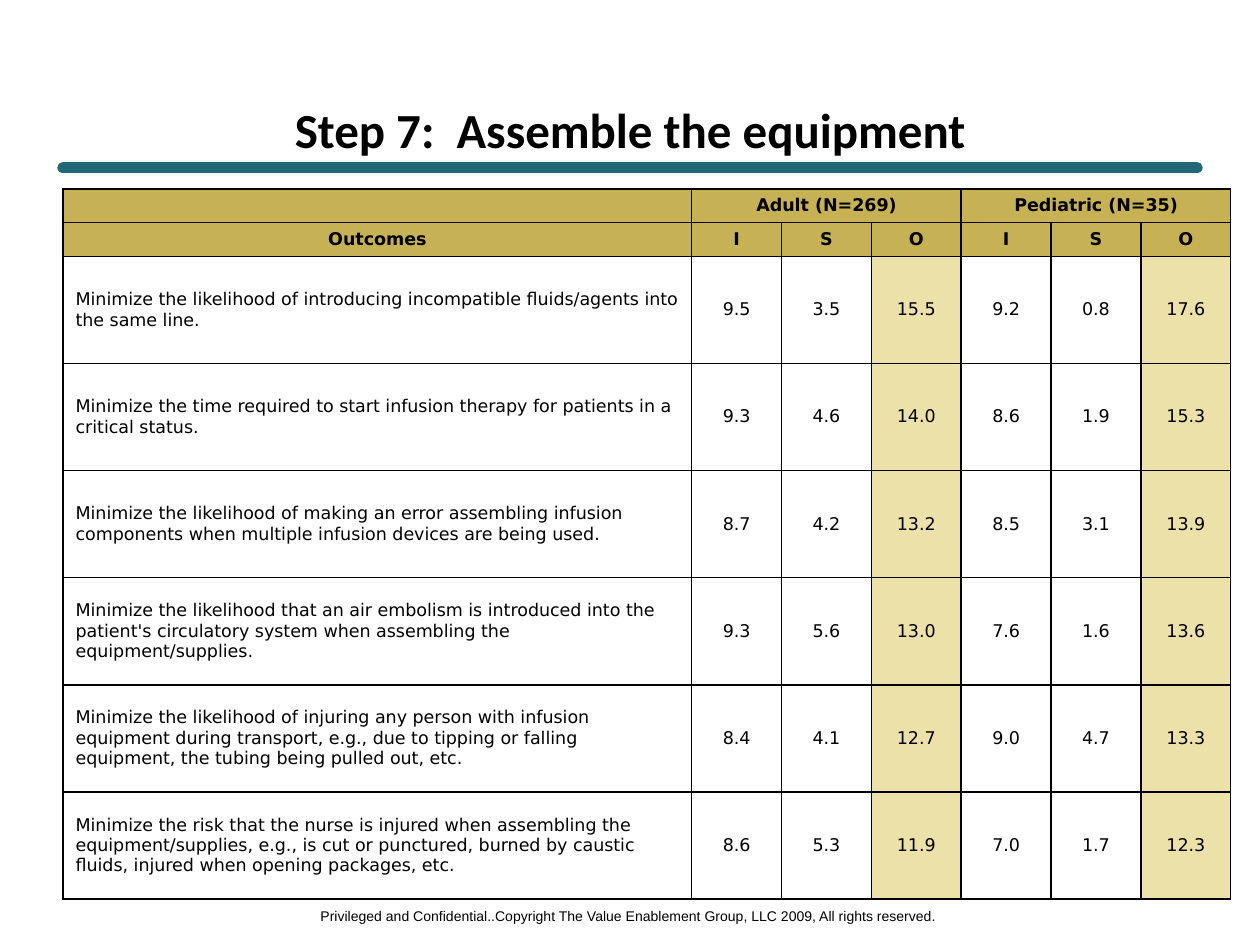
"""Build the outcomes table slide for the equipment step."""
from dataclasses import dataclass

from lxml import etree
from pptx import Presentation
from pptx import util as u
from pptx.dml.color import RGBColor as Rgb
from pptx.enum import shapes, text
from pptx.oxml import ns


@dataclass(frozen=True)
class Theme:
    ink: str = "000000"
    bar: str = "216778"
    head: str = "C6B154"
    tint: str = "ECE2A9"
    title: int = 28
    body: int = 10
    foot: int = 8
    rule: float = 6.5
    edge: int = 1


@dataclass(frozen=True)
class Score:
    label: str
    adult: tuple[float, float, float]
    child: tuple[float, float, float]


THEME = Theme()
MID = text.PP_ALIGN.CENTER
TITLE = {"name": "Calibri", "size": u.Pt(THEME.title), "bold": True}
HEAD = {"name": "DejaVu Sans", "size": u.Pt(THEME.body), "bold": True}
BODY = {**HEAD, "bold": False}
FOOT = {"name": "Arial", "size": u.Pt(THEME.foot), "bold": False}

GROUPS = ("Adult (N=269)", "Pediatric (N=35)")
MARKS = ("I", "S", "O")
SCORES = (
    Score("Minimize the likelihood of introducing incompatible fluids/agents "
          "into the same line.", (9.5, 3.5, 15.5), (9.2, 0.8, 17.6)),
    Score("Minimize the time required to start infusion therapy for patients "
          "in a critical status.", (9.3, 4.6, 14.0), (8.6, 1.9, 15.3)),
    Score("Minimize the likelihood of making an error assembling infusion "
          "components when multiple infusion devices are being used.",
          (8.7, 4.2, 13.2), (8.5, 3.1, 13.9)),
    Score("Minimize the likelihood that an air embolism is introduced into "
          "the patient's circulatory system when assembling the "
          "equipment/supplies.", (9.3, 5.6, 13.0), (7.6, 1.6, 13.6)),
    Score("Minimize the likelihood of injuring any person with infusion "
          "equipment during transport, e.g., due to tipping or falling "
          "equipment, the tubing being pulled out, etc.",
          (8.4, 4.1, 12.7), (9.0, 4.7, 13.3)),
    Score("Minimize the risk that the nurse is injured when assembling the "
          "equipment/supplies, e.g., is cut or punctured, burned by caustic "
          "fluids, injured when opening packages, etc.",
          (8.6, 5.3, 11.9), (7.0, 1.7, 12.3)),
)


def write(frame, words: str, look: dict, align=MID) -> None:
    """Put one styled paragraph in a text frame."""
    para = frame.paragraphs[0]
    para.alignment = align
    if not words:
        size = str(int(look["size"].pt * 100))
        etree.SubElement(para._p, ns.qn("a:endParaRPr"), sz=size)
        return
    run = para.add_run()
    run.text = words
    for key, value in look.items():
        setattr(run.font, key, value)
    run.font.color.rgb = Rgb.from_string(THEME.ink)


def place(shape, left: float, top: float, width: float, height: float) -> None:
    """Set the box of a shape in inches."""
    box = {"left": left, "top": top, "width": width, "height": height}
    for key, value in box.items():
        setattr(shape, key, u.Inches(value))


def frame_cell(cell) -> None:
    """Draw the four borders of a cell."""
    props = cell._tc.get_or_add_tcPr()
    for spot, side in enumerate(("lnL", "lnR", "lnT", "lnB")):
        line = etree.Element(ns.qn(f"a:{side}"), w=str(u.Pt(THEME.edge)))
        fill = etree.SubElement(line, ns.qn("a:solidFill"))
        etree.SubElement(fill, ns.qn("a:srgbClr"), val=THEME.ink)
        props.insert(spot, line)


def fill_cell(cell, words: str, look: dict, color: str | None, align=MID) -> None:
    """Style one cell and write its words."""
    cell.vertical_anchor = text.MSO_ANCHOR.MIDDLE
    if color:
        cell.fill.solid()
        cell.fill.fore_color.rgb = Rgb.from_string(color)
    else:
        cell.fill.background()
    frame_cell(cell)
    write(cell.text_frame, words, look, align)


def add_rule(slide) -> None:
    """Draw the round-ended bar under the title."""
    rule = slide.shapes.add_connector(
        shapes.MSO_CONNECTOR.STRAIGHT,
        *map(u.Inches, (0.5, 1.33, 9.5, 1.33)))
    rule.line.color.rgb = Rgb.from_string(THEME.bar)
    rule.line.width = u.Pt(THEME.rule)
    rule.line._get_or_add_ln().set("cap", "rnd")
    etree.SubElement(rule._element.spPr, ns.qn("a:effectLst"))


def add_foot(slide) -> None:
    """Write the rights line clear of the table."""
    foot = slide.shapes.add_textbox(
        *map(u.Inches, (2.41, 7.15, 5.16, 0.24)))
    foot.text_frame.word_wrap = False
    write(foot.text_frame, "Privileged and Confidential..Copyright The Value "
          "Enablement Group, LLC 2009, All rights reserved.", FOOT)


def add_scores(slide) -> None:
    """Build the table of outcomes and scores."""
    span = len(MARKS)
    total, first = 9.27, 4.99
    count = span * len(GROUPS)
    wide = [first] + [(total - first) / count] * count
    high = [0.26] * 2 + [0.85] * len(SCORES)
    grid = slide.shapes.add_table(
        len(high), len(wide),
        *map(u.Inches, (0.5, 1.5, total, sum(high)))).table
    grid.first_row = grid.horz_banding = False
    for col, width in zip(grid.columns, wide):
        col.width = u.Inches(width)
    for row, height in zip(grid.rows, high):
        row.height = u.Inches(height)

    top = [""]
    for name in GROUPS:
        top += [name] + [""] * (span - 1)
    for r, words in enumerate((top, ["Outcomes", *MARKS * len(GROUPS)])):
        for c, word in enumerate(words):
            fill_cell(grid.cell(r, c), word, HEAD, THEME.head)
    for c in range(1, len(wide), span):
        grid.cell(0, c).merge(grid.cell(0, c + span - 1))

    for r, score in enumerate(SCORES, 2):
        fill_cell(grid.cell(r, 0), score.label, BODY, None,
                  text.PP_ALIGN.LEFT)
        for c, value in enumerate(score.adult + score.child, 1):
            color = THEME.tint if c % span == 0 else None
            fill_cell(grid.cell(r, c), f"{value:.1f}", BODY, color)


def main() -> None:
    """Build and save the slide."""
    deck = Presentation()
    deck.slide_width, deck.slide_height = u.Inches(10), u.Inches(7.5)
    slide = deck.slides.add_slide(deck.slide_layouts[5])
    add_rule(slide)
    add_foot(slide)
    title = slide.shapes.title
    place(title, 0.5, 0.83, 9, 0.38)
    title.text_frame.vertical_anchor = text.MSO_ANCHOR.MIDDLE
    title.text_frame.auto_size = text.MSO_AUTO_SIZE.NONE
    write(title.text_frame, "Step 7:  Assemble the equipment", TITLE)
    add_scores(slide)
    deck.save("out.pptx")


if __name__ == "__main__":
    main()
